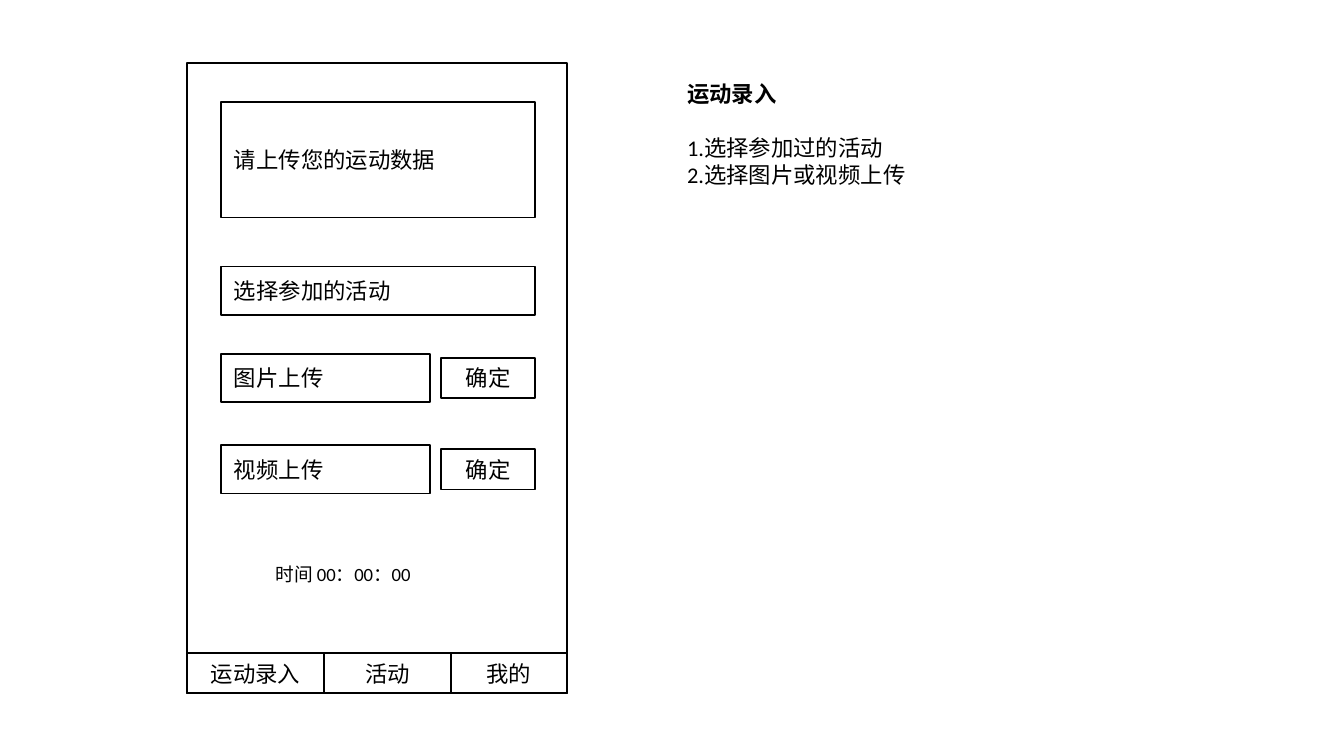
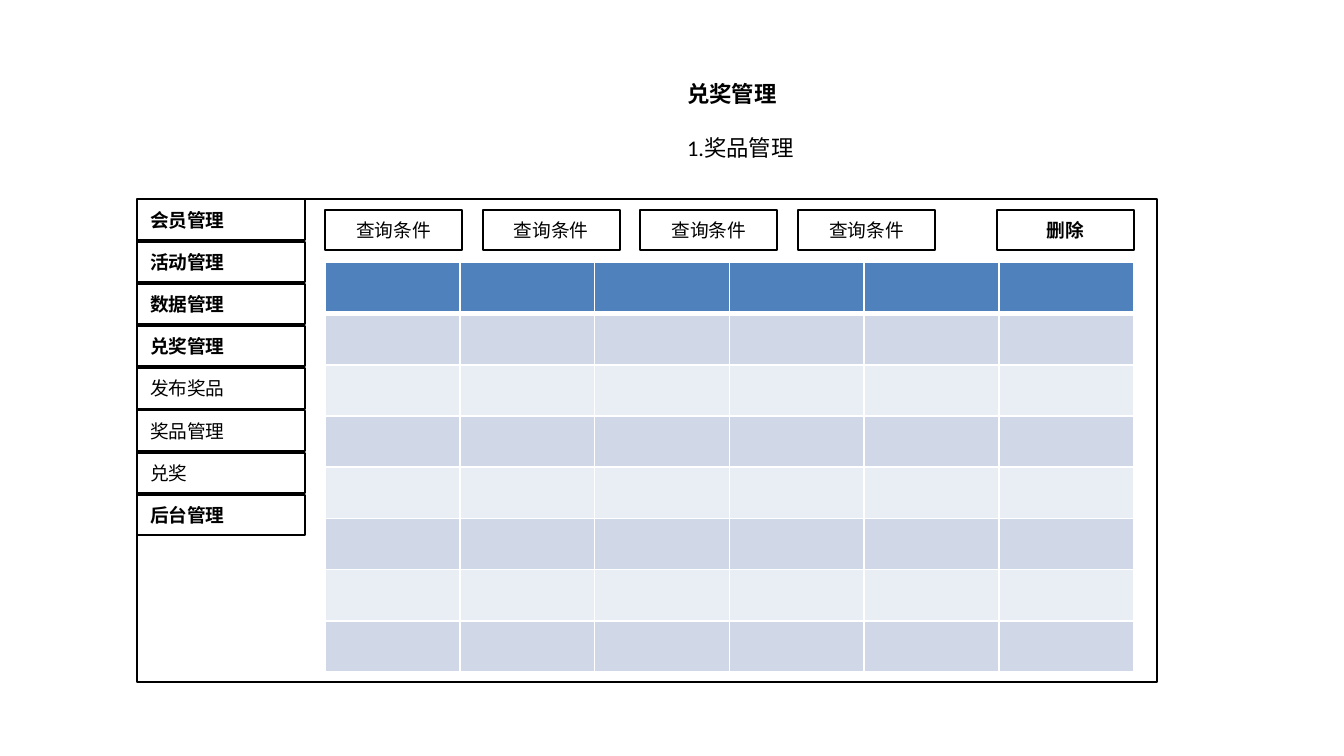
from collections import namedtuple
from lxml.etree import SubElement
from pptx import Presentation
from pptx.dml.color import RGBColor
from pptx.enum.shapes import MSO_SHAPE
from pptx.enum.text import MSO_ANCHOR, MSO_AUTO_SIZE, PP_ALIGN
from pptx.oxml.ns import qn
from pptx.util import Inches, Pt

BLACK = RGBColor(0x00, 0x00, 0x00)
WHITE = RGBColor(0xFF, 0xFF, 0xFF)
BLUE = RGBColor(0x4F, 0x81, 0xBD)
BANDS = (RGBColor(0xE9, 0xED, 0xF4), RGBColor(0xD0, 0xD8, 0xE8))
FONT = "Calibri"
UNIT = Inches(0.1)  # one grid column or row
BAR = 3  # rows in a button or menu entry

# Box in grid columns and rows
Box = namedtuple("Box", "x y w h")


def inner(box, x, y, w, h):
    return Box(box.x + x, box.y + y, w, h)


def place(box):
    return [int(n * UNIT) for n in box]


def style(para, size, bold=False, align=PP_ALIGN.LEFT):
    para.alignment = align
    font = para.font
    font.name, font.size, font.bold = FONT, Pt(size), bold
    font.color.rgb = BLACK


def frame(slide, box, text="", size=12, bold=False, align=PP_ALIGN.LEFT):
    """Outlined box, with or without a label."""
    shape = slide.shapes.add_shape(MSO_SHAPE.RECTANGLE, *place(box))
    shape.shadow.inherit = False
    shape.fill.background()
    shape.line.color.rgb = BLACK
    shape.line.width = Pt(1)
    if text:
        body = shape.text_frame
        body.vertical_anchor = MSO_ANCHOR.MIDDLE
        body.text = text
        style(body.paragraphs[0], size, bold, align)


def button(slide, box, text, size=12, bold=False):
    frame(slide, box, text, size, bold, PP_ALIGN.CENTER)


def words(slide, box, lines, size):
    """Plain text, one paragraph a line."""
    body = slide.shapes.add_textbox(*place(box)).text_frame
    body.word_wrap = True
    body.auto_size = MSO_AUTO_SIZE.SHAPE_TO_FIT_TEXT
    body.text = "\n".join(lines)
    for para in body.paragraphs:
        style(para, size)
    return body.paragraphs


def note(slide, box, title, *lines):
    """Bold title with the points below it."""
    head = words(slide, box, (title, *lines), 12)[0]
    head.font.bold = True
    head.space_after = Pt(14.5)


def phone(slide, box):
    frame(slide, box)
    # Message and activity choice
    left, wide = 2.5, 23.4
    frame(slide, inner(box, left, 2.9, wide, 8.6), "请上传您的运动数据")
    frame(slide, inner(box, left, 15.13, wide, 3.6), "选择参加的活动")
    # Upload rows
    for i, text in enumerate(("图片上传", "视频上传")):
        top = 21.63 + 6.8 * i
        frame(slide, inner(box, left, top, 15.6, 3.6), text)
        button(slide, inner(box, left + wide - 7, top + 0.3, 7, BAR), "确定")
    # Time
    words(slide, inner(box, 5.6, 36.7, 12.3, 2.7), ["时间 00：00：00"], 10)
    # Tabs along the foot
    x = 0
    for text, w in (("运动录入", 10.2), ("活动", 9.45), ("我的", 8.6)):
        button(slide, inner(box, x, box.h - BAR, w, BAR), text)
        x += w


def menu(slide, box):
    items = ("会员管理", "活动管理", "数据管理", "兑奖管理",
             "发布奖品", "奖品管理", "兑奖", "后台管理")
    subs = items[4:7]
    for i, text in enumerate(items):
        spot = inner(box, 0, 3.14 * i, box.w, BAR)
        frame(slide, spot, text, 10, text not in subs)


def query(slide, box):
    wide = 10.2
    for i in range(4):
        button(slide, inner(box, 11.73 * i, 0, wide, BAR), "查询条件", 10)
    button(slide, inner(box, box.w - wide, 0, wide, BAR), "删除", 10, True)


def edges(cell, foot):
    """White cell borders; foot is the width of the lower one."""
    props = cell._tc.get_or_add_tcPr()
    for i, side in enumerate(("lnL", "lnR", "lnT", "lnB")):
        width = foot if side == "lnB" else 1
        line = props.makeelement(qn(f"a:{side}"), {"w": str(Pt(width))})
        props.insert(i, line)
        fill = SubElement(line, qn("a:solidFill"))
        SubElement(fill, qn("a:srgbClr"), val=str(WHITE))


def grid(slide, box, rows=8, cols=6):
    table = slide.shapes.add_table(rows, cols, *place(box)).table
    for r in range(rows):
        for c in range(cols):
            cell = table.cell(r, c)
            cell.margin_top = cell.margin_bottom = 0
            cell.fill.solid()
            cell.fill.fore_color.rgb = BANDS[r % 2] if r else BLUE
            edges(cell, 1 if r else 3)


def admin(slide, box):
    frame(slide, box)
    menu(slide, inner(box, 0, 0.03, 12.5, box.h))
    query(slide, inner(box, 14, 0.8, 60.2, BAR))
    grid(slide, inner(box, 14, 4.7, 60.2, 30.5))


def main():
    deck = Presentation()
    deck.slide_width = Inches(10)
    deck.slide_height = deck.slide_width * 9 // 16
    blank = deck.slide_layouts[6]

    # Sport entry
    slide = deck.slides.add_slide(blank)
    phone(slide, Box(13.92, 4.7, 28.25, 46.9))
    note(slide, Box(50.14, 5.5, 18.4, 9.1), "运动录入",
         "1.选择参加过的活动", "2.选择图片或视频上传")

    # Prize desk
    slide = deck.slides.add_slide(blank)
    note(slide, Box(50.14, 5.5, 10, 7.1), "兑奖管理", "1.奖品管理")
    admin(slide, Box(10.18, 14.82, 75.9, 35.9))

    deck.save("out.pptx")


if __name__ == "__main__":
    main()
